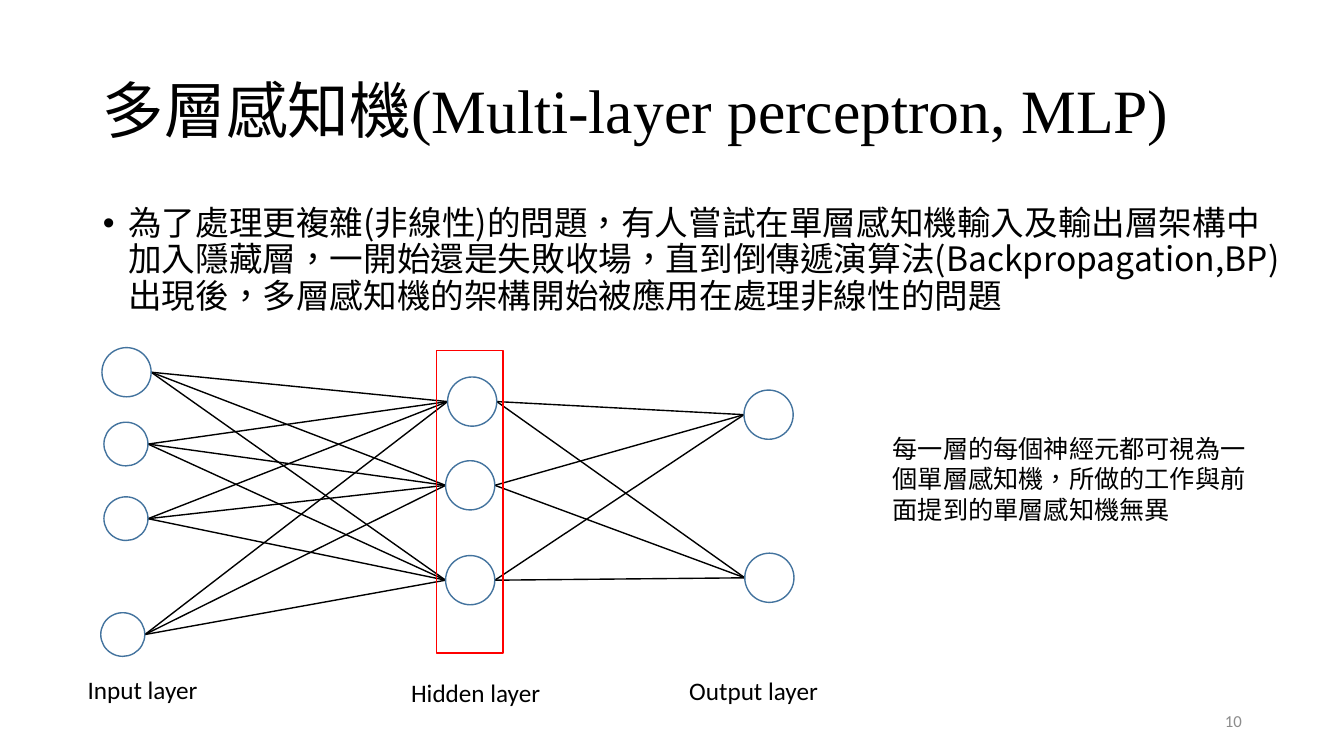
"""Build the multi-layer perceptron slide."""
from dataclasses import dataclass
from itertools import chain, pairwise, product
from typing import Any

import pptx
import pptx.dml.color
import pptx.enum.shapes
import pptx.enum.text
import pptx.oxml
import pptx.oxml.ns
import pptx.util

Cm = pptx.util.Cm
Pt = pptx.util.Pt
Align = pptx.enum.text.PP_ALIGN
Anchor = pptx.enum.text.MSO_ANCHOR
ShapeType = pptx.enum.shapes.MSO_SHAPE
CJK_FONT = "Noto Sans CJK SC"
BLACK = "000000"


@dataclass(frozen=True)
class Box:
    left: float
    top: float
    width: float
    height: float

    @property
    def middle(self) -> float:
        return self.top + self.height / 2

    def lengths(self) -> tuple:
        return Cm(self.left), Cm(self.top), Cm(self.width), Cm(self.height)


@dataclass(frozen=True)
class Label:
    text: str
    box: Box
    font: str = "Calibri"
    size: float = 18
    color: str = BLACK
    align: Any = Align.LEFT
    anchor: Any = Anchor.TOP


def small_neuron(left: float, top: float) -> Box:
    return Box(left, top, 1.11, 1.1)


def large_neuron(left: float, top: float) -> Box:
    return Box(left, top, 1.24, 1.24)


INPUTS = [large_neuron(2.57, 8.76), small_neuron(2.62, 10.64),
          small_neuron(2.62, 12.52), small_neuron(2.54, 15.44)]
HIDDEN = [large_neuron(11.28, 9.5), large_neuron(11.23, 11.61), large_neuron(11.23, 14)]
OUTPUTS = [large_neuron(18.75, 9.83), large_neuron(18.77, 13.94)]
HIDDEN_FRAME = Box(11, 8.84, 1.68, 7.62)

TITLE = Label("多層感知機(Multi-layer perceptron, MLP)", Box(2.34, 1.02, 30.89, 3.68),
              "Times New Roman", 44, anchor=Anchor.MIDDLE)
BODY = Label("為了處理更複雜(非線性)的問題，有人嘗試在單層感知機輸入及輸出層架構中加入隱藏層，"
             "一開始還是失敗收場，直到倒傳遞演算法(Backpropagation,BP)出現後，"
             "多層感知機的架構開始被應用在處理非線性的問題",
             Box(2.34, 5.08, 30.48, 12.09), CJK_FONT, 24)
LABELS = [
    Label("Hidden layer", Box(10.11, 16.94, 4.55, 1.02)),
    Label("Input layer", Box(1.96, 16.87, 4.55, 1.02)),
    Label("Output layer", Box(17.12, 16.89, 4.55, 1.02)),
    Label("每一層的每個神經元都可視為一個單層感知機，所做的工作與前面提到的單層感知機無異",
          Box(22.25, 10.8, 9.88, 2.57), CJK_FONT),
    Label("10", Box(23.93, 17.65, 7.62, 1.02), size=12, color="8C8C8C",
          align=Align.RIGHT, anchor=Anchor.MIDDLE),
]


def rgb(color: str) -> pptx.dml.color.RGBColor:
    return pptx.dml.color.RGBColor.from_string(color)


def apply_format(target: Any, values: dict[str, Any]) -> None:
    for name, value in values.items():
        setattr(target, name, value)


def write_label(shape: Any, label: Label) -> Any:
    left, top, width, height = label.box.lengths()
    apply_format(shape, {"left": left, "top": top, "width": width, "height": height})
    frame = shape.text_frame
    apply_format(frame, {"word_wrap": True, "vertical_anchor": label.anchor,
                         "auto_size": pptx.enum.text.MSO_AUTO_SIZE.NONE})
    paragraph = frame.paragraphs[0]
    paragraph.alignment = label.align
    run = paragraph.add_run()
    run.text = label.text
    apply_format(run.font, {"name": label.font, "size": Pt(label.size)})
    run.font.color.rgb = rgb(label.color)
    properties = run._r.get_or_add_rPr()
    properties.set("lang", "zh-TW")
    east_asian = pptx.oxml.parse_xml(f'<a:ea {pptx.oxml.ns.nsdecls("a")} typeface="{CJK_FONT}"/>')
    properties.append(east_asian)
    return paragraph


def add_bullet(paragraph: Any) -> None:
    properties = paragraph._p.get_or_add_pPr()
    properties.set("marL", str(Cm(0.64)))
    properties.set("indent", str(Cm(-0.64)))
    namespace = pptx.oxml.ns.nsdecls("a")
    properties.append(pptx.oxml.parse_xml(f'<a:buFont {namespace} typeface="Arial"/>'))
    properties.append(pptx.oxml.parse_xml(f'<a:buChar {namespace} char="•"/>'))


def add_outline(slide: Any, kind: Any, box: Box, color: str, fill: str | None = None) -> None:
    shape = slide.shapes.add_shape(kind, *box.lengths())
    shape.shadow.inherit = False
    if fill:
        shape.fill.solid()
        shape.fill.fore_color.rgb = rgb(fill)
    else:
        shape.fill.background()
    shape.line.color.rgb = rgb(color)
    shape.line.width = Pt(1)


def add_link(slide: Any, source: Box, target: Box) -> None:
    connector = slide.shapes.add_connector(
        pptx.enum.shapes.MSO_CONNECTOR.STRAIGHT,
        Cm(source.left + source.width), Cm(source.middle),
        Cm(target.left), Cm(target.middle))
    connector.line.color.rgb = rgb(BLACK)
    connector.line.width = Pt(1)
    effects = pptx.oxml.parse_xml(f'<a:effectLst {pptx.oxml.ns.nsdecls("a")}/>')
    connector._element.spPr.append(effects)


def main() -> None:
    presentation = pptx.Presentation()
    apply_format(presentation, {"slide_width": Cm(33.87), "slide_height": Cm(19.05)})
    slide = presentation.slides.add_slide(presentation.slide_layouts[1])

    title = write_label(slide.shapes.title, TITLE)
    body = write_label(slide.placeholders[1], BODY)
    for paragraph in (title, body):
        apply_format(paragraph, {"line_spacing": 0.9, "space_before": Pt(0)})
    add_bullet(body)

    for layer, next_layer in pairwise([INPUTS, HIDDEN, OUTPUTS]):
        for source, target in product(layer, next_layer):
            add_link(slide, source, target)
    for neuron in chain(INPUTS, OUTPUTS):
        add_outline(slide, ShapeType.OVAL, neuron, "43739E")
    for neuron in HIDDEN:
        add_outline(slide, ShapeType.OVAL, neuron, "43739E", "FFFFFF")
    add_outline(slide, ShapeType.RECTANGLE, HIDDEN_FRAME, "FF0000")

    for label in LABELS:
        write_label(slide.shapes.add_textbox(*label.box.lengths()), label)
    presentation.save("out.pptx")


if __name__ == "__main__":
    main()
